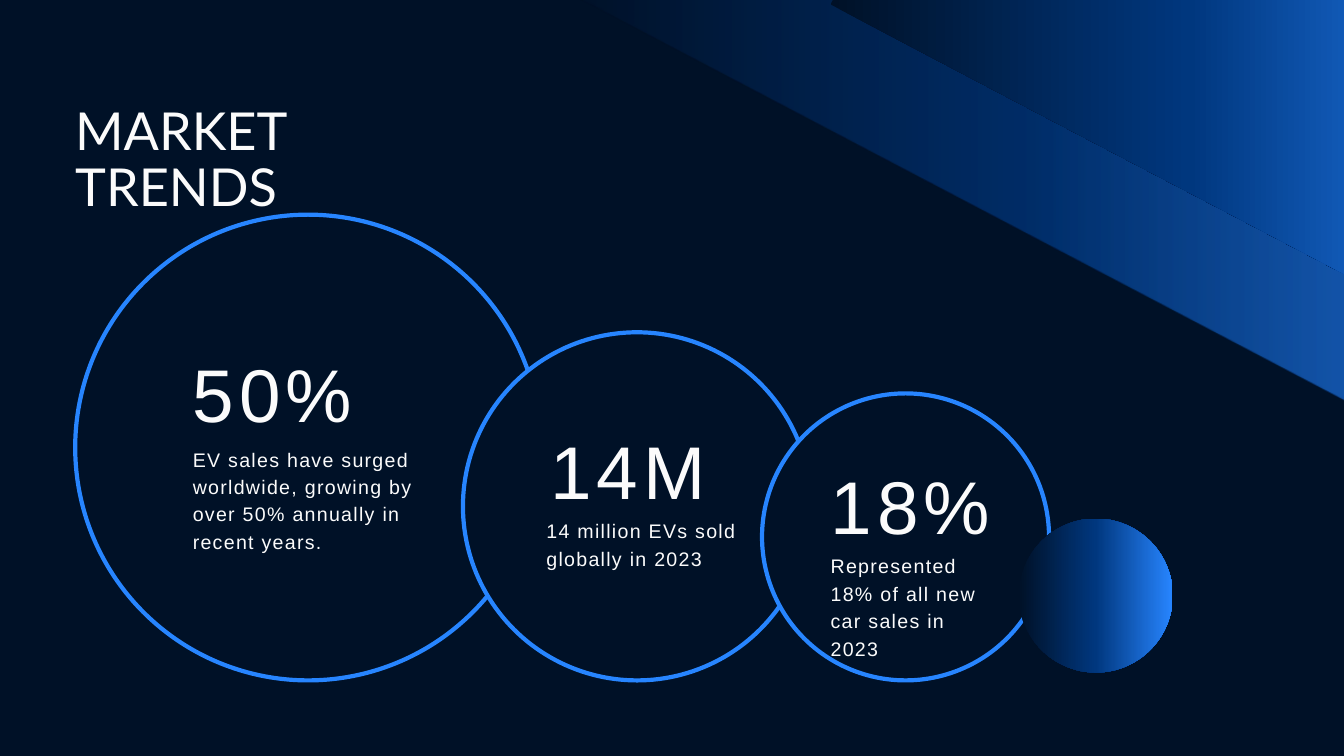
from pptx import Presentation
from pptx.dml.color import RGBColor
from pptx.enum.shapes import MSO_SHAPE
from pptx.enum.text import MSO_ANCHOR, MSO_AUTO_SIZE, PP_ALIGN
from pptx.oxml import parse_xml
from pptx.oxml.ns import nsdecls, qn
from pptx.util import Pt

NAVY, BLUE, BRIGHT, WHITE = "001127", "00377E", "2785FF", "FBFBFB"
BASELINE = 729  # bottom edge shared by the ring circles

# Ring left and diameter, text left, number and its top, caption and its place
TRENDS = [
    (80.6, 499, 206.6, "50%", 357, 206.6, 475.2, 247, 117,
     "EV sales have surged worldwide, growing by over 50% annually in recent years."),
    (496, 373, 589.7, "14M", 439.2, 585.4, 552.2, 247, 58.5,
     "14 million EVs sold globally in 2023"),
    (816.5, 307.5, 890, "18%", 476.6, 890, 589.7, 180, 87,
     "Represented 18% of all new car sales in 2023"),
]


def color(value):
    return RGBColor.from_string(value)


def add_plain_shape(slide, kind, left, top, width, height):
    shape = slide.shapes.add_shape(kind, Pt(left), Pt(top), Pt(width), Pt(height))
    shape.shadow.inherit = False
    return shape


def add_ring(slide, left, diameter):
    ring = add_plain_shape(slide, MSO_SHAPE.OVAL, left, BASELINE - diameter,
                           diameter, diameter)
    ring.fill.solid()
    ring.fill.fore_color.rgb = color(NAVY)
    ring.line.color.rgb = color(BRIGHT)
    ring.line.width = Pt(4.5)


def add_gradient_shape(slide, kind, left, top, width, height, rotation=0, opacity=100):
    shape = add_plain_shape(slide, kind, left, top, width, height)
    shape.rotation = rotation
    shape.line.fill.background()
    # Three stops, running left to right whatever the rotation
    stops = "".join(
        f'<a:gs pos="{position * 1000}"><a:srgbClr val="{value}">'
        f'<a:alpha val="{opacity * 1000}"/></a:srgbClr></a:gs>'
        for position, value in ((0, NAVY), (50, BLUE), (100, BRIGHT)))
    gradient = parse_xml(
        f'<a:gradFill {nsdecls("a")} rotWithShape="0"><a:gsLst>{stops}</a:gsLst>'
        '<a:lin ang="0" scaled="0"/></a:gradFill>')
    shape._element.spPr.find(qn("a:prstGeom")).addnext(gradient)


def add_text(slide, text, left, top, width, height, size, line_spacing,
             font_name="Arial", letter_spacing=0, alignment=PP_ALIGN.LEFT):
    box = slide.shapes.add_textbox(Pt(left), Pt(top), Pt(width), Pt(height))
    frame = box.text_frame
    frame.word_wrap = True
    frame.auto_size = MSO_AUTO_SIZE.SHAPE_TO_FIT_TEXT
    frame.vertical_anchor = MSO_ANCHOR.TOP
    frame.margin_left = frame.margin_right = frame.margin_top = frame.margin_bottom = 0
    frame.text = text
    paragraph = frame.paragraphs[0]
    paragraph.alignment = alignment
    paragraph.line_spacing = Pt(line_spacing)
    run = paragraph.runs[0]
    run.font.name = font_name
    run.font.size = Pt(size)
    run.font.color.rgb = color(WHITE)
    if letter_spacing:
        run._r.get_or_add_rPr().set("spc", str(round(letter_spacing * 100)))


def main():
    presentation = Presentation()
    presentation.slide_width = Pt(1440)
    presentation.slide_height = Pt(810)
    slide = presentation.slides.add_slide(presentation.slide_layouts[6])
    slide.background.fill.solid()
    slide.background.fill.fore_color.rgb = color(NAVY)

    # Overlapping rings
    for left, diameter, *_ in TRENDS:
        add_ring(slide, left, diameter)

    # Diagonal bands and ball
    add_gradient_shape(slide, MSO_SHAPE.RECTANGLE, 609.8, -25.2, 991.4, 260.6,
                       rotation=27.7, opacity=74)
    add_gradient_shape(slide, MSO_SHAPE.RECTANGLE, 918, -109.4, 712, 296.6, rotation=27.7)
    add_gradient_shape(slide, MSO_SHAPE.OVAL, 1091.5, 555.6, 165, 165)

    # Title
    add_text(slide, "MARKET TRENDS", 80.6, 111.6, 342, 70.6, 56, 60.5, "Lato")

    # Numbers and captions
    for _, _, left, number, top, *caption_place, caption in TRENDS:
        add_text(slide, number, left, top, 214, 107.3, 80, 112,
                 letter_spacing=5.4, alignment=PP_ALIGN.JUSTIFY)
        add_text(slide, caption, *caption_place, 21, 29.4, letter_spacing=1.4)

    presentation.save("out.pptx")


if __name__ == "__main__":
    main()
